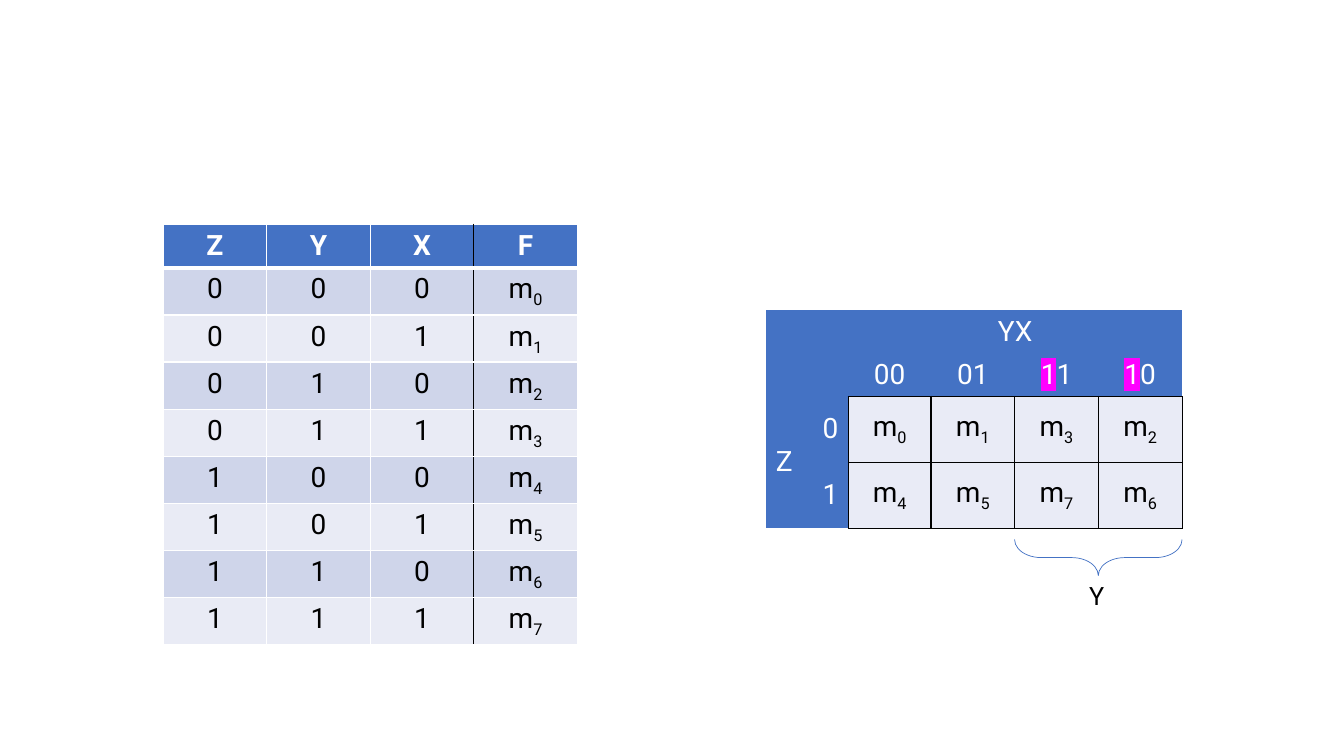
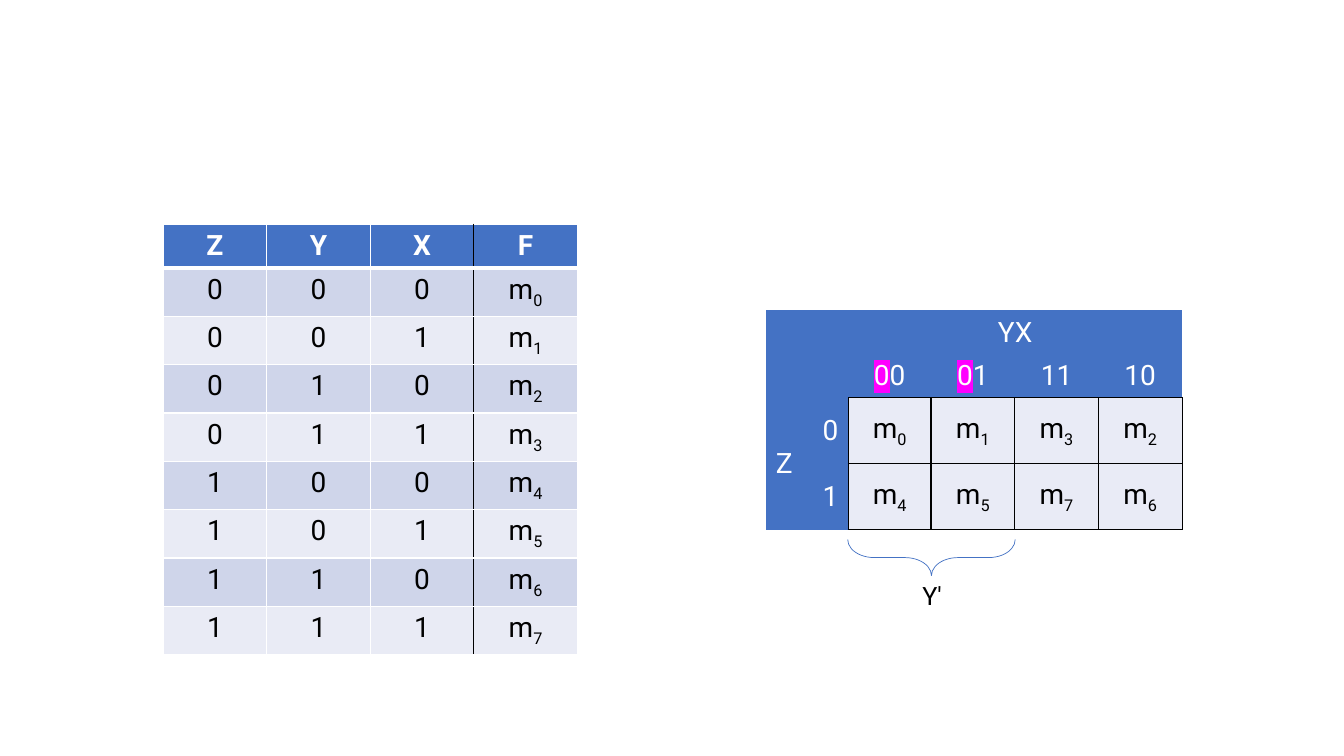
from pptx import Presentation
from pptx.dml.color import RGBColor
from pptx.enum.shapes import MSO_SHAPE
from pptx.enum.text import MSO_ANCHOR, MSO_AUTO_SIZE, PP_ALIGN
from pptx.oxml.ns import qn
from pptx.util import Cm, Pt
from lxml import etree

LEFT, CENTER, RIGHT = PP_ALIGN.LEFT, PP_ALIGN.CENTER, PP_ALIGN.RIGHT
TOP, MIDDLE, BOTTOM = MSO_ANCHOR.TOP, MSO_ANCHOR.MIDDLE, MSO_ANCHOR.BOTTOM
FIT_TEXT = MSO_AUTO_SIZE.SHAPE_TO_FIT_TEXT
LEFT_BRACE = MSO_SHAPE.LEFT_BRACE

# Palette
BLUE, WHITE, BLACK, MAGENTA = "4472C4", "FFFFFF", "000000", "FF00FF"
BANDS = ["CFD5EA", "E9EBF5"]
MAP_FILL = "E9EBF6"

# Map layout in cm
MAP_LEFT, MAP_TOP = 19.3, 7.82
MAP_COLS = [1.09, 0.99, 2.08, 2.11, 2.11, 2.11]
MAP_ROWS = [1.04, 1.04, 1.66, 1.66]
GRAY_CODE = ["00", "01", "11", "10"]


def rgb(value):
    return RGBColor.from_string(value)


def minterm(n):
    """Runs for m with a lowered index."""
    return [("m", {}), (str(n), {"baseline": "-25000"})]


class Deck:
    """Shared style and the current slide."""

    font = {"name": "Roboto", "size": Pt(20), "bold": False}

    def __init__(self):
        self.prs = Presentation()
        self.prs.slide_width, self.prs.slide_height = Cm(33.87), Cm(19.05)
        self.s = None

    def new_slide(self):
        self.s = self.prs.slides.add_slide(self.prs.slide_layouts[6])

    def text(self, tf, runs, color, align=LEFT, **fmt):
        p = tf.paragraphs[0]
        p.alignment = align
        for content, extra in runs:
            r = p.add_run()
            r.text = content
            r.font.color.rgb = rgb(color)
            for key, value in {**self.font, **fmt}.items():
                setattr(r.font, key, value)
            rPr = r._r.get_or_add_rPr()
            if "baseline" in extra:
                rPr.set("baseline", extra["baseline"])
            if "highlight" in extra:
                mark = etree.Element(qn("a:highlight"))
                etree.SubElement(mark, qn("a:srgbClr"), val=extra["highlight"])
                rPr.find(qn("a:solidFill")).addnext(mark)

    def table(self, left, top, cols, rows):
        frame = self.s.shapes.add_table(len(rows), len(cols), Cm(left), Cm(top),
                                        Cm(sum(cols)), Cm(sum(rows)))
        tbl = frame.table
        tbl.first_row = tbl.horz_banding = False
        for col, width in zip(tbl.columns, cols):
            col.width = Cm(width)
        for row, height in zip(tbl.rows, rows):
            row.height = Cm(height)
        return tbl

    def cell(self, cell, fill, borders, runs=(), color=BLACK, align=CENTER,
             anchor=TOP, **fmt):
        tcPr = cell._tc.get_or_add_tcPr()
        for side in "LRTB":
            line, width = borders.get(side, (None, 1))
            ln = etree.SubElement(tcPr, qn(f"a:ln{side}"), w=str(Pt(width)))
            if line:
                solid = etree.SubElement(ln, qn("a:solidFill"))
                etree.SubElement(solid, qn("a:srgbClr"), val=line)
            else:
                etree.SubElement(ln, qn("a:noFill"))
        cell.fill.solid()
        cell.fill.fore_color.rgb = rgb(fill)
        cell.vertical_anchor = anchor
        self.text(cell.text_frame, runs, color, align, **fmt)

    def brace(self, center_x, center_y, span, depth):
        """Brace that opens upwards and spans a width."""
        sp = self.s.shapes.add_shape(LEFT_BRACE, Cm(center_x - depth / 2),
                                     Cm(center_y - span / 2), Cm(depth), Cm(span))
        sp.rotation = 270
        sp.adjustments[0] = 0.735
        sp.adjustments[1] = 0.5
        sp.shadow.inherit = False
        sp.fill.background()
        sp.line.color.rgb = rgb(BLUE)
        sp.line.width = Pt(0.5)

    def label(self, left, top, width, height, content):
        tf = self.s.shapes.add_textbox(Cm(left), Cm(top), Cm(width), Cm(height)).text_frame
        tf.word_wrap = True
        tf.auto_size = FIT_TEXT
        self.text(tf, [(content, {})], BLACK, size=Pt(18))


def truth_table(deck):
    tbl = deck.table(4.11, 5.65, [2.61] * 4, [1.1] * 9)
    rows = [[[(name, {})] for name in "ZYXF"]]
    for n in range(8):
        rows.append([[(bit, {})] for bit in f"{n:03b}"] + [minterm(n)])
    for i, row in enumerate(rows):
        header = i == 0
        for j, runs in enumerate(row):
            borders = {side: (WHITE, 1) for side in "LRTB"}
            if header:
                borders["B"] = (WHITE, 3)
            if i == 1:
                borders["T"] = (WHITE, 3)
            # Rule between inputs and output
            if j >= 2:
                borders["R" if j == 2 else "L"] = (BLACK, 1)
            deck.cell(tbl.cell(i, j), BLUE if header else BANDS[(i - 1) % 2], borders,
                      runs, WHITE if header else BLACK, bold=header)


def karnaugh_map(deck, y_bit):
    tbl = deck.table(MAP_LEFT, MAP_TOP, MAP_COLS, MAP_ROWS)
    tbl.cell(0, 2).merge(tbl.cell(0, 5))
    tbl.cell(2, 0).merge(tbl.cell(3, 0))
    line = (BLACK, 1)

    # Blue headings
    headings = {(0, 2): ([("YX", {})], CENTER), (2, 0): ([("Z", {})], LEFT),
                (2, 1): ([("0", {})], RIGHT), (3, 1): ([("1", {})], RIGHT)}
    for j, code in enumerate(GRAY_CODE, 2):
        mark = {"highlight": MAGENTA}
        runs = [(code[0], mark), (code[1], {})] if code[0] == y_bit else [(code, {})]
        headings[1, j] = (runs, CENTER)
    for i in range(4):
        for j in range(6 if i < 2 else 2):
            runs, align = headings.get((i, j), ((), CENTER))
            borders = {}
            if i == 1 and j >= 2:
                borders["B"] = line
            if i >= 2 and j == 1:
                borders["R"] = line
            deck.cell(tbl.cell(i, j), BLUE, borders, runs, WHITE, align,
                      BOTTOM if i < 2 else MIDDLE)

    # Minterms
    for z in range(2):
        for j, code in enumerate(GRAY_CODE, 2):
            deck.cell(tbl.cell(z + 2, j), MAP_FILL, {side: line for side in "LRTB"},
                      minterm(4 * z + int(code, 2)), anchor=MIDDLE)


def group_mark(deck, y_bit, name, width):
    """Brace and label under the two columns that share the Y bit."""
    first = 2 + [code[0] for code in GRAY_CODE].index(y_bit)
    center = MAP_LEFT + sum(MAP_COLS[:first]) + sum(MAP_COLS[first:first + 2]) / 2
    deck.brace(center, 14.05, 4.22, 0.91)
    deck.label(center - 0.48, 14.5, width, 1.02, name)


def main():
    deck = Deck()
    for y_bit, name, width in [("1", "Y", 0.91), ("0", "Y'", 1.52)]:
        deck.new_slide()
        truth_table(deck)
        karnaugh_map(deck, y_bit)
        group_mark(deck, y_bit, name, width)
    deck.prs.save("out.pptx")


if __name__ == "__main__":
    main()
